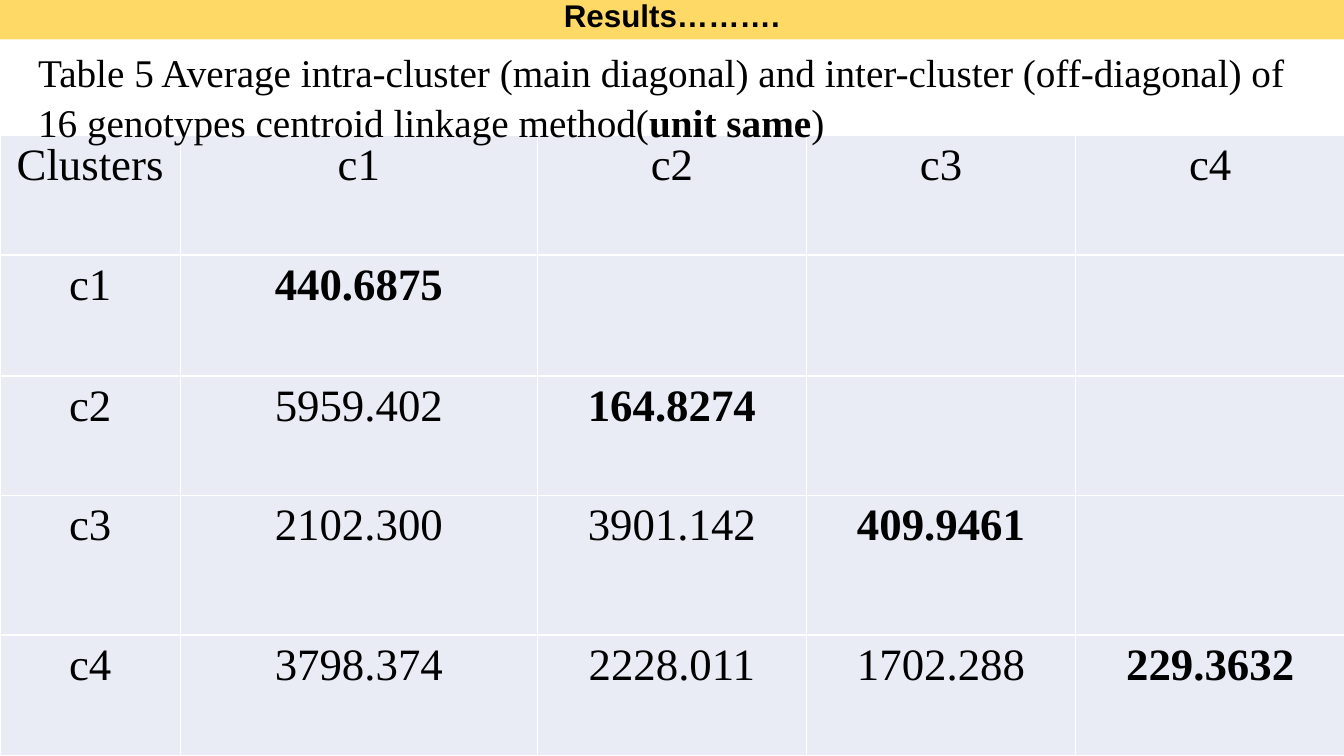
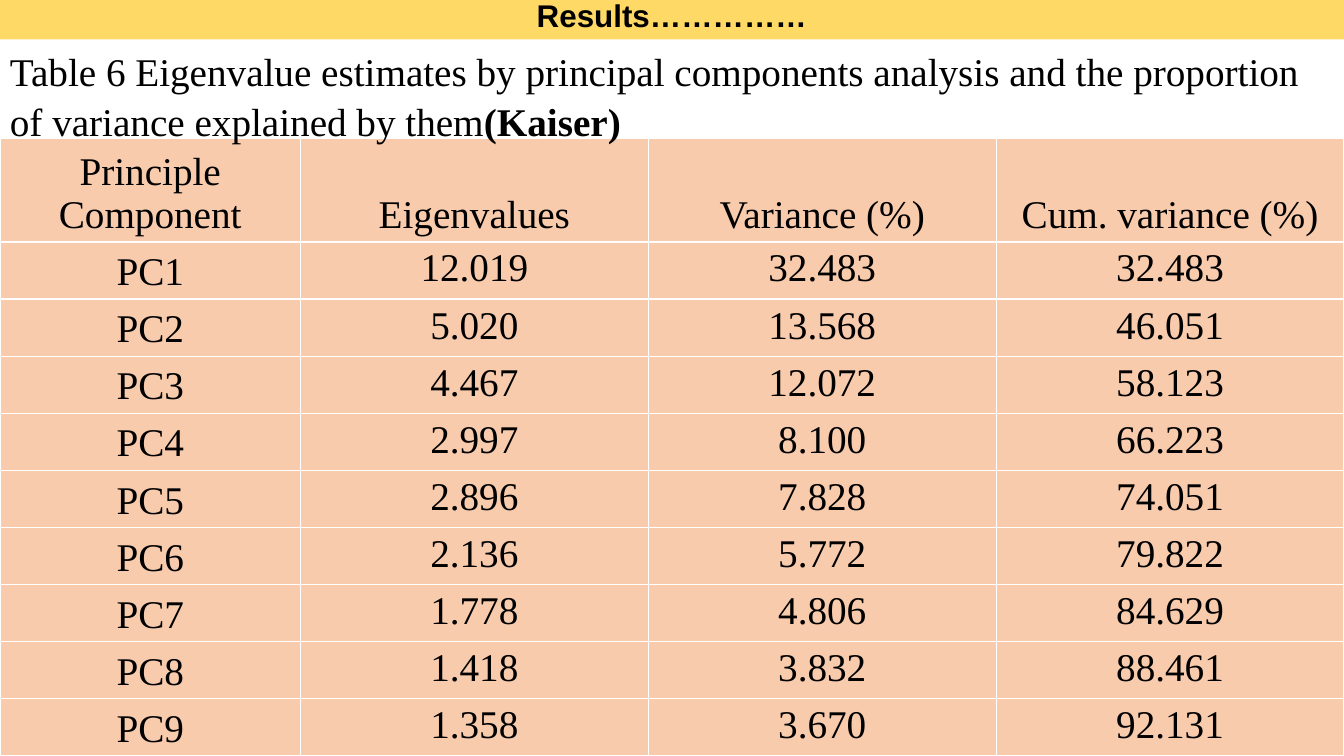
from lxml import etree
from pptx import Presentation
from pptx.dml.color import RGBColor
from pptx.enum.text import MSO_ANCHOR, MSO_AUTO_SIZE, PP_ALIGN
from pptx.oxml.ns import qn
from pptx.util import Inches, Pt

CENTER = PP_ALIGN.CENTER
TOP, MIDDLE, BOTTOM = MSO_ANCHOR.TOP, MSO_ANCHOR.MIDDLE, MSO_ANCHOR.BOTTOM
NO_AUTOFIT = MSO_AUTO_SIZE.NONE

WIDTH = 13.33
TITLE_ONLY = 5
BAND, BLACK, GRID = "FFD966", "000000", "FFFFFF"
TITLE_FONT, BODY_FONT = "Arial", "Times New Roman"
CELL_MARGINS = {"margin_left": Inches(0.07), "margin_right": Inches(0.07),
                "margin_top": Inches(0.05), "margin_bottom": Inches(0.05)}

SLIDES = [
    {
        "title": "Results……….",
        "caption": [
            ("Table 5 Average intra-cluster (main diagonal) and inter-cluster "
             "(off-diagonal) of 16 genotypes centroid linkage method(", False),
            ("unit same", True),
            (")", False),
        ],
        "caption_box": (0.28, 0.41, 12.77, 1.04),
        "table_top": 1.34,
        "columns": [1.79, 3.54] + [2.67] * 3,
        "heights": [1.19, 1.2, 1.19, 1.38, 1.2],
        "fill": "E9EBF5",
        "size": 32,
        "bold_diagonal": True,
        "label_anchor": TOP,
        "rows": [
            ("Clusters", "c1", "c2", "c3", "c4"),
            ("c1", "440.6875", "", "", ""),
            ("c2", "5959.402", "164.8274", "", ""),
            ("c3", "2102.300", "3901.142", "409.9461", ""),
            ("c4", "3798.374", "2228.011", "1702.288", "229.3632"),
        ],
    },
    {
        "title": "Results……………",
        "caption": [
            ("Table 6 Eigenvalue estimates by principal components analysis and "
             "the proportion of variance explained by them", False),
            ("(Kaiser)", True),
        ],
        "caption_box": (0, 0.4, WIDTH, 1.04),
        "table_top": 1.37,
        "columns": [2.98] + [3.45] * 3,
        "heights": [1.03] + [5.1 / 9] * 9,
        "fill": "F8CBAD",
        "size": 28,
        "bold_diagonal": False,
        "label_anchor": BOTTOM,
        "rows": [
            ("Principle Component", "Eigenvalues", "Variance (%)", "Cum. variance (%)"),
            ("PC1", "12.019", "32.483", "32.483"),
            ("PC2", "5.020", "13.568", "46.051"),
            ("PC3", "4.467", "12.072", "58.123"),
            ("PC4", "2.997", "8.100", "66.223"),
            ("PC5", "2.896", "7.828", "74.051"),
            ("PC6", "2.136", "5.772", "79.822"),
            ("PC7", "1.778", "4.806", "84.629"),
            ("PC8", "1.418", "3.832", "88.461"),
            ("PC9", "1.358", "3.670", "92.131"),
        ],
    },
]


def add_span(para, text, name, size, bold):
    span = para.add_run()
    span.text = text
    for key, value in {"name": name, "size": Pt(size), "bold": bold}.items():
        setattr(span.font, key, value)
    span.font.color.rgb = RGBColor.from_string(BLACK)


def add_borders(cell):
    """Draw a thin line on all four sides; borders must precede the fill."""
    properties = cell._tc.get_or_add_tcPr()
    for position, side in enumerate(("lnL", "lnR", "lnT", "lnB")):
        line = etree.Element(qn(f"a:{side}"), w=str(Pt(1)))
        fill = etree.SubElement(line, qn("a:solidFill"))
        etree.SubElement(fill, qn("a:srgbClr"), val=GRID)
        properties.insert(position, line)


deck = Presentation()
deck.slide_width, deck.slide_height = Inches(WIDTH), Inches(7.5)

for content in SLIDES:
    page = deck.slides.add_slide(deck.slide_layouts[TITLE_ONLY])

    # Title band
    title = page.shapes.title
    band = {"left": 0, "top": 0, "width": Inches(WIDTH), "height": Inches(0.39)}
    for key, value in band.items():
        setattr(title, key, value)
    title.fill.solid()
    title.fill.fore_color.rgb = RGBColor.from_string(BAND)
    title.text_frame.auto_size = NO_AUTOFIT
    title.text_frame.vertical_anchor = MIDDLE
    para = title.text_frame.paragraphs[0]
    para.alignment, para.line_spacing = CENTER, 0.7
    add_span(para, content["title"], TITLE_FONT, 22.4, True)

    # Table
    rows, columns, heights = content["rows"], content["columns"], content["heights"]
    table = page.shapes.add_table(
        len(rows), len(columns), 0, Inches(content["table_top"]),
        Inches(sum(columns)), Inches(sum(heights))).table
    table.first_row = table.horz_banding = False
    for column, width in zip(table.columns, columns):
        column.width = Inches(width)
    for row, height in zip(table.rows, heights):
        row.height = Inches(height)
    for i, texts in enumerate(rows):
        for j, text in enumerate(texts):
            cell = table.cell(i, j)
            is_label = i == 0 or j == 0
            for key, value in CELL_MARGINS.items():
                setattr(cell, key, value)
            cell.vertical_anchor = content["label_anchor"] if is_label else TOP
            cell.fill.solid()
            cell.fill.fore_color.rgb = RGBColor.from_string(content["fill"])
            add_borders(cell)
            if text:
                para = cell.text_frame.paragraphs[0]
                para.alignment = CENTER
                bold = content["bold_diagonal"] and i == j and not is_label
                add_span(para, text, BODY_FONT, content["size"], bold)

    # Caption
    caption = page.shapes.add_textbox(*map(Inches, content["caption_box"]))
    caption.text_frame.word_wrap = True
    para = caption.text_frame.paragraphs[0]
    para.line_spacing, para.space_after = 1.05, Pt(10)
    for text, bold in content["caption"]:
        add_span(para, text, BODY_FONT, 28, bold)

deck.save("out.pptx")
